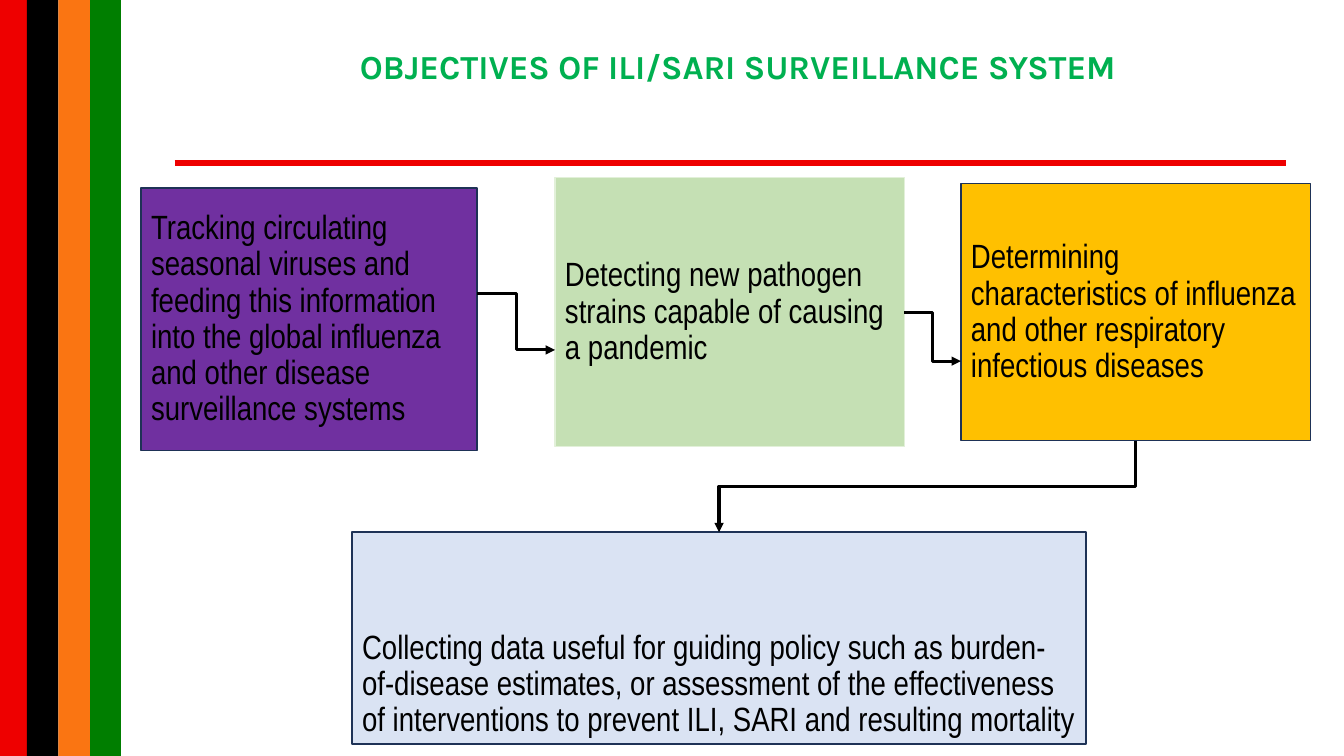
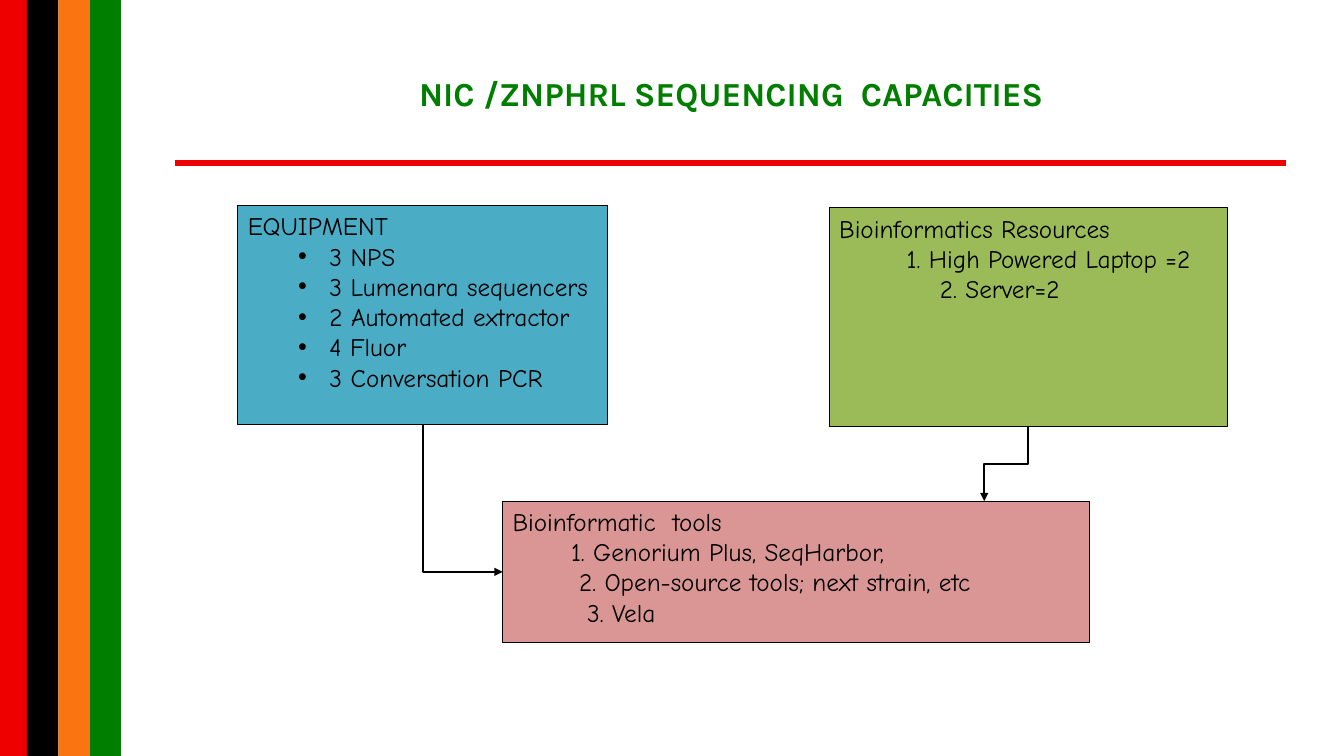
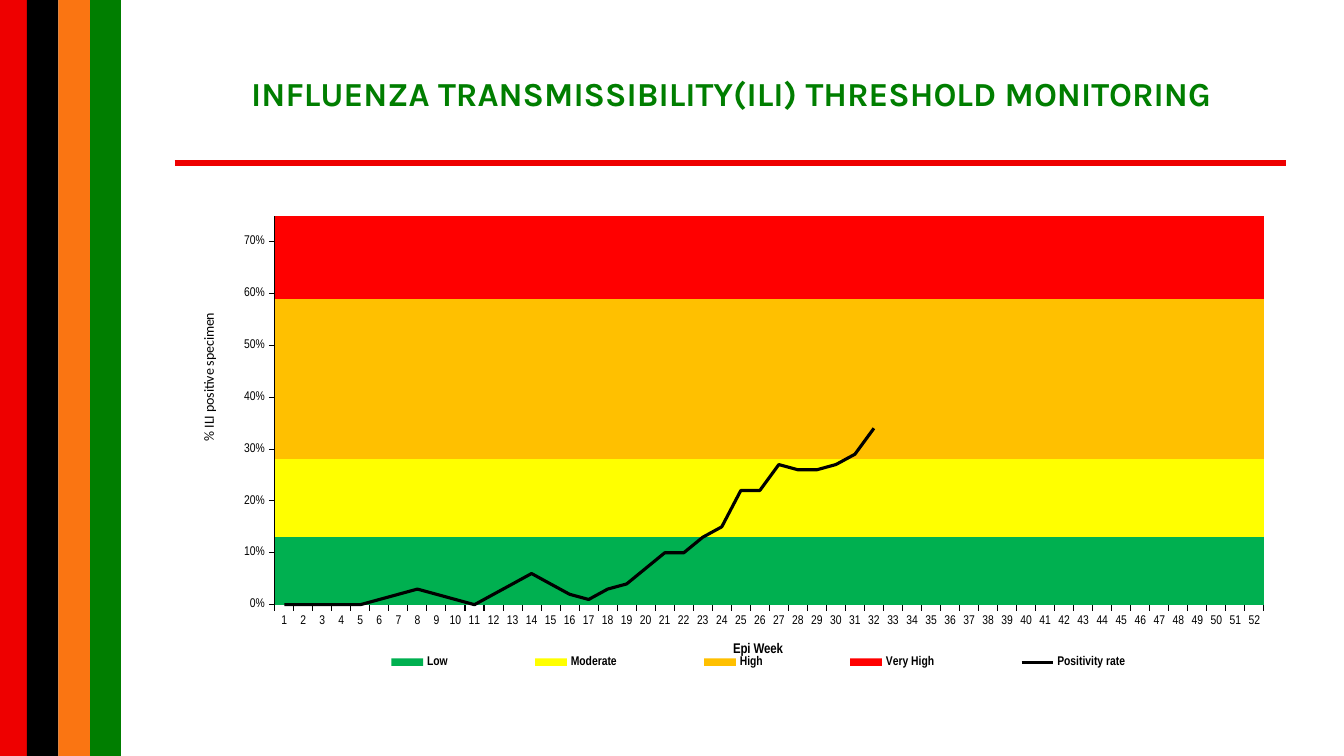
import collections
import itertools

import lxml.etree
import pptx
import pptx.chart.data
import pptx.dml.color
import pptx.enum.chart
import pptx.enum.shapes
import pptx.enum.text
import pptx.oxml
import pptx.oxml.ns
import pptx.util

qn = pptx.oxml.ns.qn
Pt = pptx.util.Pt
ANCHOR = pptx.enum.text.MSO_ANCHOR
ALIGN = pptx.enum.text.PP_ALIGN
SHAPE = pptx.enum.shapes.MSO_SHAPE
LINK = pptx.enum.shapes.MSO_CONNECTOR
WIDTH, HEIGHT = pptx.util.Inches(13.33), pptx.util.Inches(7.5)


class Theme:
    black, red, orange, green = "000000", "EE0000", "FA7512", "007E00"
    bright_green, navy, pale_line = "00B050", "1E3256", "E2F0D9"
    purple, mint, amber, pale_blue = "7030A0", "C5E0B4", "FFC000", "DAE3F3"
    teal, olive, rose = "4BACC6", "9BBB59", "D99694"
    levels = ("00B050", "FFFF00", "FFC000", "FF0000")
    title = {"name": "Karla", "size": Pt(24), "bold": True}
    objective = {"name": "Arial Narrow", "size": Pt(24)}
    resource = {"name": "Comic Neue", "size": Pt(18)}
    chart = {"name": "Calibri", "size": Pt(10), "bold": False}
    tick = {"name": "Arial Narrow", "size": Pt(9), "bold": False}
    legend = {"name": "Arial Narrow", "size": Pt(9), "bold": True}
    week = {"name": "Arial Narrow", "size": Pt(10), "bold": True}


class Box(collections.namedtuple("Box", "x y w h")):
    """A rectangle in percent of the slide."""

    def emu(self):
        return [int(v * side / 100) for v, side in zip(self, (WIDTH, HEIGHT) * 2)]

    def point(self, across, down):
        """The point at these shares of the box, in EMU."""
        x, y, w, h = self.emu()
        return int(x + across * w), int(y + down * h)


Item = collections.namedtuple("Item", "text left hang bullet", defaults=(0, 0, None))


def rgb(value):
    return pptx.dml.color.RGBColor.from_string(value)


def apply(target, values):
    for name, value in values.items():
        setattr(target, name, value)


def set_font(font, values, color=Theme.black):
    apply(font, values)
    font.color.rgb = rgb(color)


def set_line(line, color, width):
    line.color.rgb = rgb(color)
    line.width = Pt(width)


def add_rect(s, box, fill, line=None, width=1):
    sp = s.shapes.add_shape(SHAPE.RECTANGLE, *box.emu())
    sp.shadow.inherit = False
    sp.fill.solid()
    sp.fill.fore_color.rgb = rgb(fill)
    if line:
        set_line(sp.line, line, width)
    else:
        sp.line.fill.background()
    return sp


def add_line(s, kind, start, end, color, width):
    cx = s.shapes.add_connector(kind, *start, *end)
    set_line(cx.line, color, width)
    lxml.etree.SubElement(cx._element.spPr, qn("a:effectLst"))
    return cx


def add_arrow(s, start, end, width, down=False, corner=False):
    """Elbow arrow; down leaves vertically, corner turns only once."""
    cx = add_line(s, LINK.ELBOW, start, end, Theme.black, width)
    lxml.etree.SubElement(cx.line._get_or_add_ln(), qn("a:tailEnd"), type="triangle")
    if down:
        (x1, y1), (x2, y2) = start, end
        w, h = y2 - y1, abs(x2 - x1)
        apply(cx, {"left": (x1 + x2 - w) // 2, "top": (y1 + y2 - h) // 2,
                   "width": w, "height": h})
        xfrm = cx._element.spPr.find(qn("a:xfrm"))
        xfrm.attrib.clear()
        rightward = x2 > x1
        xfrm.set("rot", str((270 if rightward else 90) * 60000))
        if rightward:
            xfrm.set("flipH", "1")
    if corner:
        cx._element.spPr.find(qn("a:prstGeom")).set("prst", "bentConnector2")


def write(sp, items, font, color=Theme.black, anchor=ANCHOR.MIDDLE, **paragraph):
    tf = sp.text_frame
    apply(tf, {"word_wrap": True, "vertical_anchor": anchor})
    for i, item in enumerate(items):
        p = tf.add_paragraph() if i else tf.paragraphs[0]
        apply(p, {"alignment": ALIGN.LEFT, **paragraph})
        r = p.add_run()
        r.text = item.text
        set_font(r.font, font, color)
        pPr = p._p.get_or_add_pPr()
        pPr.set("marL", str(pptx.util.Inches(item.left)))
        pPr.set("indent", str(pptx.util.Inches(item.hang)))
        if item.bullet:
            lxml.etree.SubElement(pPr, qn("a:buFont"), typeface="Arial")
            lxml.etree.SubElement(pPr, qn("a:buChar"), char=item.bullet)


def add_page(prs, title, box=Box(10.7, 4, 87.4, 16.7), color=Theme.green):
    """Blank slide with the flag bands, the rule and a title."""
    s = prs.slides.add_slide(prs.slide_layouts[6])
    edges = itertools.pairwise((0, 2, 4.35, 6.7, 9))
    bands = (Theme.red, Theme.black, Theme.orange, Theme.green)
    for (left, right), fill in zip(edges, bands):
        add_rect(s, Box(left, 0, right - left, 100), fill)
    rule = Box(13, 21.6, 82.7, 0)
    add_line(s, LINK.STRAIGHT, rule.point(0, 0), rule.point(1, 0), Theme.red, 4.5)
    write(s.shapes.add_textbox(*box.emu()), [Item(title)], Theme.title, color,
          alignment=ALIGN.CENTER)
    return s


def objectives_slide(prs):
    s = add_page(prs, "OBJECTIVES OF ILI/SARI SURVEILLANCE SYSTEM",
                 Box(11.4, 3.7, 87, 10), Theme.bright_green)
    tracking, detecting = Box(10.5, 24.9, 25, 34.7), Box(41.3, 23.5, 26, 35.6)
    determining, collecting = Box(71.5, 24.3, 26, 34), Box(26.2, 70.4, 54.6, 28)
    objectives = (
        (tracking, Theme.purple, Theme.navy, ANCHOR.MIDDLE,
         "Tracking circulating seasonal viruses and feeding this information into "
         "the global influenza and other disease surveillance systems"),
        (detecting, Theme.mint, Theme.pale_line, ANCHOR.MIDDLE,
         "Detecting new pathogen strains capable of causing a pandemic"),
        (determining, Theme.amber, Theme.navy, ANCHOR.MIDDLE,
         "Determining characteristics of influenza and other respiratory "
         "infectious diseases"),
        (collecting, Theme.pale_blue, Theme.navy, ANCHOR.BOTTOM,
         "Collecting data useful for guiding policy such as burden-of-disease "
         "estimates, or assessment of the effectiveness of interventions to "
         "prevent ILI, SARI and resulting mortality"),
    )
    for box, fill, line, anchor, text in objectives:
        write(add_rect(s, box, fill, line), [Item(text)], Theme.objective,
              anchor=anchor, line_spacing=0.9, space_before=Pt(5))
    add_arrow(s, tracking.point(1, 0.4), detecting.point(0, 0.64), 2.25)
    add_arrow(s, detecting.point(1, 0.5), determining.point(0, 0.69), 2.25)
    add_arrow(s, determining.point(0.5, 1), collecting.point(0.5, 0), 2.25, down=True)


def capacities_slide(prs):
    s = add_page(prs, "NIC /ZNPHRL SEQUENCING  CAPACITIES")
    equipment, resources = Box(17.7, 27.2, 27.5, 28.9), Box(61.7, 27.5, 29.6, 28.9)
    tools = Box(37.4, 66.3, 43.7, 18.7)
    machines = ("3 NPS", "3 Lumenara sequencers", "2 Automated extractor",
                "4 Fluor", "3 Conversation PCR")
    panels = (
        (equipment, Theme.teal,
         [Item("EQUIPMENT")] + [Item(m, 0.81, -0.31, "•") for m in machines]),
        (resources, Theme.olive,
         [Item("Bioinformatics Resources"),
          Item("1. High Powered Laptop =2", 0.67), Item("2. Server=2", 1)]),
        (tools, Theme.rose,
         [Item("Bioinformatic  tools"),
          Item("1. Genorium Plus, SeqHarbor,", 0.58),
          Item("2. Open-source tools; next strain, etc", 0.66),
          Item("3. Vela", 0.74)]),
    )
    for box, fill, items in panels:
        write(add_rect(s, box, fill, Theme.black, 0.75), items, Theme.resource,
              anchor=ANCHOR.TOP)
    add_arrow(s, equipment.point(0.5, 1), tools.point(0, 0.5), 1.5, True, True)
    add_arrow(s, resources.point(0.5, 1), tools.point(0.82, 0), 1.5, True)


def place(element, index, **shares):
    """Give a chart part a manual layout, in shares of the chart."""
    for old in element.findall(qn("c:layout")):
        element.remove(old)
    layout = lxml.etree.Element(qn("c:layout"))
    manual = lxml.etree.SubElement(layout, qn("c:manualLayout"))
    if element.tag == qn("c:plotArea"):
        lxml.etree.SubElement(manual, qn("c:layoutTarget"), val="inner")
    for name in ("x", "y"):
        lxml.etree.SubElement(manual, qn(f"c:{name}Mode"), val="edge")
    for name, share in shares.items():
        lxml.etree.SubElement(manual, qn(f"c:{name}"), val=str(share))
    element.insert(index, layout)


def move_last_to_line(chart):
    """Turn the last column series into a line on the same axes."""
    bars = chart.plots[0]._element
    ser = bars.findall(qn("c:ser"))[-1]
    for flag in ser.findall(qn("c:invertIfNegative")):
        ser.remove(flag)
    lines = lxml.etree.Element(qn("c:lineChart"))
    lxml.etree.SubElement(lines, qn("c:grouping"), val="standard")
    lxml.etree.SubElement(lines, qn("c:varyColors"), val="0")
    lines.append(ser)
    lxml.etree.SubElement(lines, qn("c:marker"), val="1")
    for axis in bars.findall(qn("c:axId")):
        lxml.etree.SubElement(lines, qn("c:axId"), val=axis.get("val"))
    bars.addnext(lines)


def format_axis(axis, title, font, **position):
    apply(axis, {"has_major_gridlines": False, "has_title": True,
                 "major_tick_mark": pptx.enum.chart.XL_TICK_MARK.OUTSIDE,
                 "minor_tick_mark": pptx.enum.chart.XL_TICK_MARK.NONE})
    set_font(axis.tick_labels.font, Theme.tick)
    set_line(axis.format.line, Theme.black, 0.75)
    r = axis.axis_title.text_frame.paragraphs[0].add_run()
    r.text = title
    set_font(r.font, font)
    place(axis.axis_title._element, 1, **position)


def threshold_chart(s, box):
    weeks = 52
    positivity = (0, 0, 0, 0, 0, 0.01, 0.02, 0.03, 0.02, 0.01, 0, 0.02, 0.04, 0.06,
                  0.04, 0.02, 0.01, 0.03, 0.04, 0.07, 0.1, 0.1, 0.13, 0.15, 0.22,
                  0.22, 0.27, 0.26, 0.26, 0.27, 0.29, 0.34)
    heights = {"Low": 0.13, "Moderate": 0.15, "High": 0.31, "Very High": 0.46}
    data = pptx.chart.data.CategoryChartData()
    data.categories = [str(week + 1) for week in range(weeks)]
    for name, height in heights.items():
        data.add_series(name, [height] * weeks)
    data.add_series("Positivity rate",
                    [*positivity, *[None] * (weeks - len(positivity))])
    chart = s.shapes.add_chart(pptx.enum.chart.XL_CHART_TYPE.COLUMN_STACKED,
                               *box.emu(), data).chart
    apply(chart, {"has_title": False, "has_legend": True})
    set_font(chart.font, Theme.chart)
    move_last_to_line(chart)

    columns, lines = chart.plots
    apply(columns, {"gap_width": 0, "overlap": 100, "vary_by_categories": False})
    for series, color in zip(columns.series, Theme.levels):
        series.format.fill.solid()
        series.format.fill.fore_color.rgb = rgb(color)
    rate = lines.series[0]
    rate.smooth = False
    rate.marker.style = pptx.enum.chart.XL_MARKER_STYLE.NONE
    set_line(rate.format.line, Theme.black, 2.25)

    format_axis(chart.category_axis, "Epi Week", Theme.week, x=0.5, y=0.87)
    format_axis(chart.value_axis, "% ILI positive specimen", Theme.chart,
                x=0.02, y=0.21)
    apply(chart.value_axis, {"minimum_scale": 0, "maximum_scale": 0.75,
                             "major_unit": 0.1})
    apply(chart.value_axis.tick_labels, {"number_format": "0%",
                                         "number_format_is_linked": False})
    apply(chart.legend, {"position": pptx.enum.chart.XL_LEGEND_POSITION.BOTTOM,
                         "include_in_layout": False})
    set_font(chart.legend.font, Theme.legend)
    place(chart.legend._element, 1, x=0.12, y=0.89, w=0.81, h=0.05)
    place(columns._element.getparent(), 0, x=0.09, y=0.02, w=0.89, h=0.78)


def threshold_slide(prs):
    s = add_page(prs, "INFLUENZA TRANSMISSIBILITY(ILI) THRESHOLD MONITORING")
    threshold_chart(s, Box(13, 27.2, 82.7, 66))


def main():
    prs = pptx.Presentation()
    apply(prs, {"slide_width": WIDTH, "slide_height": HEIGHT})
    for build in (objectives_slide, capacities_slide, threshold_slide):
        build(prs)
    prs.save("out.pptx")


if __name__ == "__main__":
    main()
